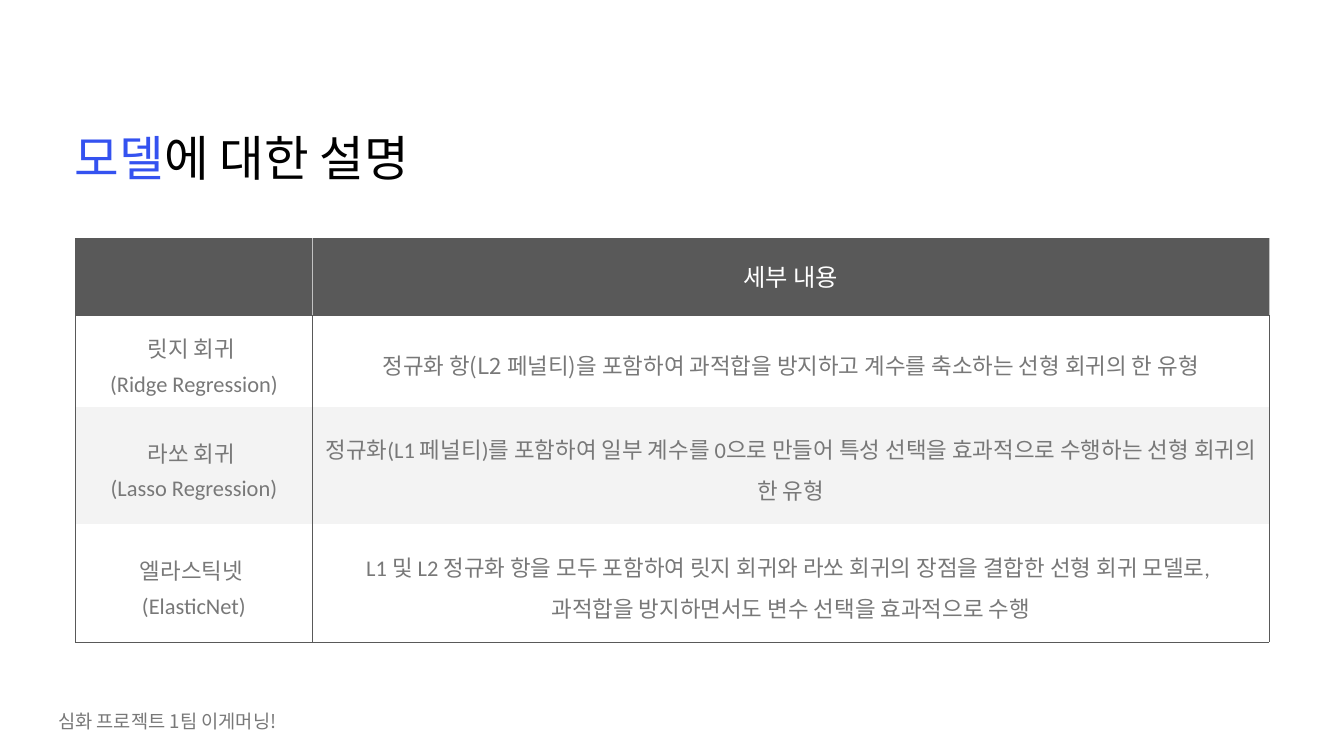
from dataclasses import dataclass

from lxml.etree import SubElement
from pptx import Presentation
from pptx.dml.color import RGBColor
from pptx.enum.text import MSO_ANCHOR, MSO_AUTO_SIZE, PP_ALIGN
from pptx.oxml.ns import qn
from pptx.util import Emu, Pt

EMU_PER_PX = 9525

BLUE, BLACK, WHITE = "3452F0", "000000", "FFFFFF"
GRAY, DARK, LIGHT, BAND = "787878", "595959", "C2C2C2", "F3F3F3"
LATIN, KOREAN = "Calibri", "Noto Sans CJK KR"

MODELS = [
    (["릿지 회귀 ", "(Ridge Regression)"],
     ["정규화 항(L2 페널티)을 포함하여 과적합을 방지하고 계수를 축소하는 선형 회귀의 한 유형"],
     KOREAN),
    (["라쏘 회귀 ", "(Lasso Regression)"],
     ["정규화(L1 페널티)를 포함하여 일부 계수를 0으로 만들어 특성 선택을 효과적으로 수행하는 선형 회귀의 한 유형"],
     LATIN),
    (["엘라스틱넷 ", "(ElasticNet)"],
     ["L1 및 L2 정규화 항을 모두 포함하여 릿지 회귀와 라쏘 회귀의 장점을 결합한 선형 회귀 모델로, ",
      "과적합을 방지하면서도 변수 선택을 효과적으로 수행"],
     LATIN),
]


def px(length):
    return Emu(length * EMU_PER_PX)


def rgb(code):
    return RGBColor.from_string(code)


@dataclass
class Style:
    size: int
    color: str = GRAY
    font: str = LATIN
    spacing: float = 1.0
    align: PP_ALIGN = PP_ALIGN.LEFT


class SlideBuilder:
    def __init__(self, slide):
        self.slide = slide

    def add_run(self, paragraph, text, style):
        run = paragraph.add_run()
        run.text = text
        run.font.size = Pt(style.size)
        run.font.name = style.font
        run.font.color.rgb = rgb(style.color)
        SubElement(run.font._element, qn("a:ea"), typeface=KOREAN)

    def format_paragraph(self, paragraph, style):
        paragraph.alignment = style.align
        paragraph.line_spacing = style.spacing

    def format_frame(self, frame):
        frame.margin_left = frame.margin_right = 0
        frame.margin_top = frame.margin_bottom = 0
        frame.vertical_anchor = MSO_ANCHOR.MIDDLE
        frame.auto_size = MSO_AUTO_SIZE.NONE
        frame.word_wrap = True

    def title(self, box, style, parts):
        """Fill the title placeholder with (text, color) parts."""
        title = self.slide.shapes.title
        title.left, title.top, title.width, title.height = map(px, box)
        self.format_frame(title.text_frame)
        paragraph = title.text_frame.paragraphs[0]
        self.format_paragraph(paragraph, style)
        for text, color in parts:
            self.add_run(paragraph, text, Style(style.size, color))

    def text(self, box, style, text):
        frame = self.slide.shapes.add_textbox(*map(px, box)).text_frame
        self.format_frame(frame)
        self.format_paragraph(frame.paragraphs[0], style)
        self.add_run(frame.paragraphs[0], text, style)

    def table(self, left, top, widths, heights):
        table = self.slide.shapes.add_table(
            len(heights), len(widths), px(left), px(top),
            px(sum(widths)), px(sum(heights))).table
        table.first_row = table.horz_banding = False
        for column, width in zip(table.columns, widths):
            column.width = px(width)
        for row, height in zip(table.rows, heights):
            row.height = px(height)
        return table

    def cell(self, cell, lines, style, fill, borders):
        """Borders are colors for left, right, top and bottom; None hides one."""
        cell.margin_left = cell.margin_right = px(2)
        cell.margin_top = cell.margin_bottom = px(2)
        cell.vertical_anchor = MSO_ANCHOR.MIDDLE
        for index, line in enumerate(lines):
            frame = cell.text_frame
            paragraph = frame.add_paragraph() if index else frame.paragraphs[0]
            self.format_paragraph(paragraph, style)
            self.add_run(paragraph, line, style)
        properties = cell._tc.get_or_add_tcPr()
        for side, color in zip("LRTB", borders):
            line = SubElement(properties, qn(f"a:ln{side}"), w=str(Pt(0.5)))
            if color:
                solid = SubElement(line, qn("a:solidFill"))
                SubElement(solid, qn("a:srgbClr"), val=color)
            else:
                SubElement(line, qn("a:noFill"))
        cell.fill.solid()
        cell.fill.fore_color.rgb = rgb(fill)


def main():
    presentation = Presentation()
    presentation.slide_width, presentation.slide_height = px(1920), px(1080)
    title_only = presentation.slide_layouts[5]
    builder = SlideBuilder(presentation.slides.add_slide(title_only))

    builder.title((107, 174, 1175, 99), Style(52, spacing=1.02),
                  [("모델", BLUE), ("에 대한 설명", BLACK)])
    builder.text((83, 992, 374, 77), Style(20, font=KOREAN),
                 "심화 프로젝트 1팀 이게머닝!")

    table = builder.table(108, 341, [338, 1367], [110, 130, 168, 168])
    header = Style(26, WHITE, spacing=0.92, align=PP_ALIGN.CENTER)
    builder.cell(table.cell(0, 0), [], header, DARK, (DARK, LIGHT, DARK, DARK))
    builder.cell(table.cell(0, 1), ["세부 내용"], header, DARK,
                 (LIGHT, LIGHT, DARK, DARK))
    for row, (name, description, font) in enumerate(MODELS, start=1):
        fill = WHITE if row % 2 else BAND
        borders = (DARK, DARK, DARK if row == 1 else None,
                   DARK if row == len(MODELS) else None)
        for column, (lines, face) in enumerate([(name, LATIN), (description, font)]):
            body = Style(24, font=face, spacing=1.25, align=PP_ALIGN.CENTER)
            builder.cell(table.cell(row, column), lines, body, fill, borders)

    presentation.save("out.pptx")


if __name__ == "__main__":
    main()
